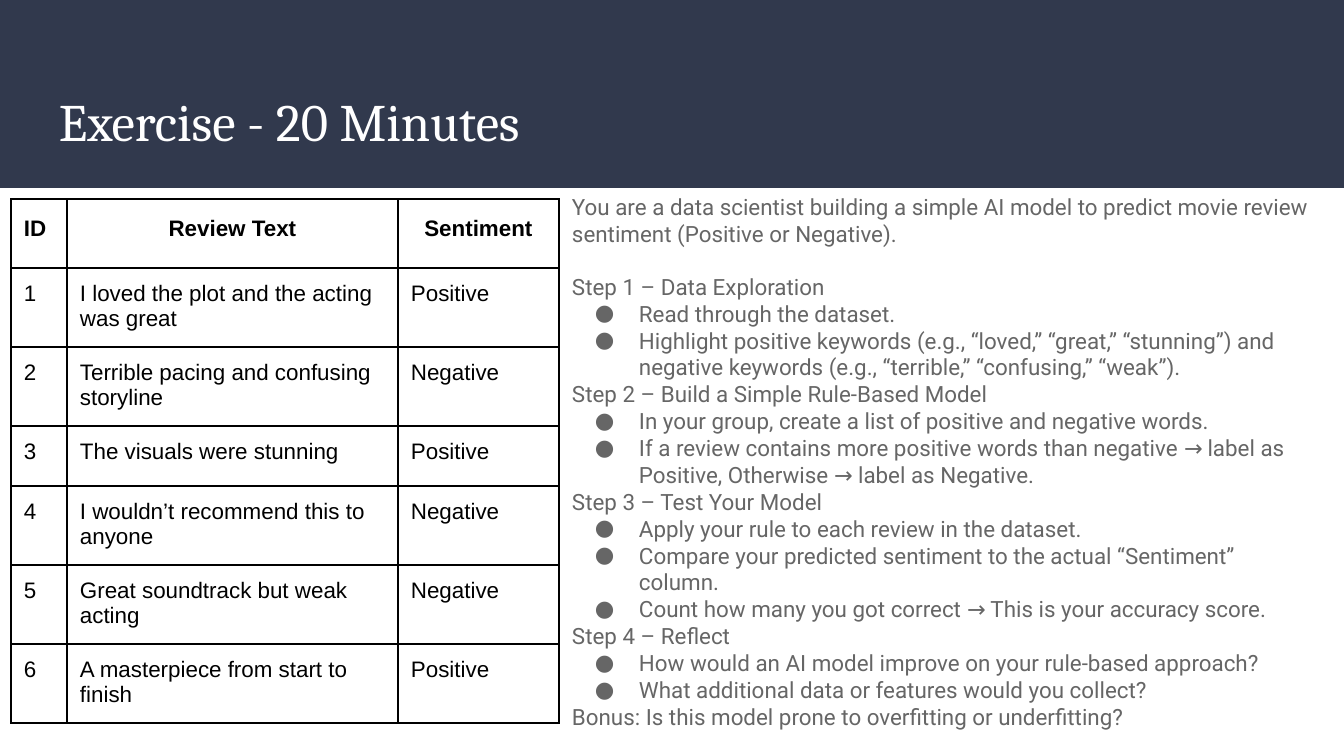
"""Build the movie review sentiment exercise slide."""
from dataclasses import dataclass
from typing import NamedTuple

from lxml.etree import SubElement
from pptx import Presentation
from pptx.dml.color import RGBColor
from pptx.enum.shapes import MSO_SHAPE as Shape
from pptx.enum.text import MSO_ANCHOR as Anchor
from pptx.enum.text import MSO_AUTO_SIZE as AutoSize
from pptx.enum.text import PP_ALIGN as Align
from pptx.oxml.ns import qn
from pptx.util import Emu, Pt

EMU_PER_PX = 914400 / 134.4


def px(length: int) -> Emu:
    return Emu(round(length * EMU_PER_PX))


class Frame(NamedTuple):
    left: int
    top: int
    width: int
    height: int

    def emu(self) -> list[Emu]:
        return [px(length) for length in self]


class TextStyle(NamedTuple):
    font: str
    size: float
    color: str
    bold: bool = False


class Review(NamedTuple):
    number: str
    text: str
    sentiment: str


class Section(NamedTuple):
    heading: str
    bullets: tuple[str, ...] = ()
    space_before: float = 0


@dataclass(frozen=True)
class Theme:
    band: str = "31394D"
    border: str = "000000"
    border_width: float = 0.75
    inset: int = 13
    title: TextStyle = TextStyle("Cambria", 28.2, "FFFFFF")
    body: TextStyle = TextStyle("Roboto", 12, "666666")
    header: TextStyle = TextStyle("Arial", 12, "000000", True)
    cell: TextStyle = TextStyle("Arial", 12, "000000")


THEME = Theme()
PAGE_SIZE = (1344, 756)
BAND = Frame(0, 0, 1344, 188)
TITLE = Frame(46, 74, 1253, 91)
BODY = Frame(559, 180, 775, 574)
TABLE = Frame(11, 199, 548, 524)
COLUMN_WIDTHS = (56, 331, 161)
ROW_HEIGHTS = (69, 79, 79, 60, 79, 79, 79)
BULLET_MARGIN, BULLET_HANG = 67, 44

HEADER = Review("ID", "Review Text", "Sentiment")
REVIEWS = (
    Review("1", "I loved the plot and the acting was great", "Positive"),
    Review("2", "Terrible pacing and confusing storyline", "Negative"),
    Review("3", "The visuals were stunning", "Positive"),
    Review("4", "I wouldn’t recommend this to anyone", "Negative"),
    Review("5", "Great soundtrack but weak acting", "Negative"),
    Review("6", "A masterpiece from start to finish", "Positive"),
)
SECTIONS = (
    Section("You are a data scientist building a simple AI model to predict movie review "
            "sentiment (Positive or Negative)."),
    Section("Step 1 – Data Exploration", (
        "Read through the dataset.",
        "Highlight positive keywords (e.g., “loved,” “great,” “stunning”) and "
        "negative keywords (e.g., “terrible,” “confusing,” “weak”).",
    ), space_before=14),
    Section("Step 2 – Build a Simple Rule-Based Model", (
        "In your group, create a list of positive and negative words.",
        "If a review contains more positive words than negative → label as "
        "Positive, Otherwise → label as Negative.",
    )),
    Section("Step 3 – Test Your Model", (
        "Apply your rule to each review in the dataset.",
        "Compare your predicted sentiment to the actual “Sentiment” column.",
        "Count how many you got correct → This is your accuracy score.",
    )),
    Section("Step 4 – Reflect", (
        "How would an AI model improve on your rule-based approach?",
        "What additional data or features would you collect?",
    )),
    Section("Bonus: Is this model prone to overfitting or underfitting?"),
)


def write(para, text: str, style: TextStyle, align=Align.LEFT) -> None:
    para.text = text
    para.alignment = align
    for span in para.runs:
        span.font.name = style.font
        span.font.size = Pt(style.size)
        span.font.bold = style.bold
        span.font.color.rgb = RGBColor.from_string(style.color)


def set_insets(target) -> None:
    target.margin_left = target.margin_right = px(THEME.inset)
    target.margin_top = target.margin_bottom = px(THEME.inset)


def place(box, frame: Frame, anchor):
    box.left, box.top, box.width, box.height = frame.emu()
    text_frame = box.text_frame
    text_frame.word_wrap = True
    text_frame.auto_size = AutoSize.NONE
    text_frame.vertical_anchor = anchor
    set_insets(text_frame)
    return text_frame


def set_bullet(para, bulleted: bool) -> None:
    properties = para._p.get_or_add_pPr()
    properties.set("marL", str(px(BULLET_MARGIN if bulleted else 0)))
    properties.set("indent", str(px(-BULLET_HANG if bulleted else 0)))
    if bulleted:
        color = SubElement(properties, qn("a:buClr"))
        SubElement(color, qn("a:srgbClr"), val=THEME.body.color)
        SubElement(properties, qn("a:buFont"), typeface=THEME.body.font)
        SubElement(properties, qn("a:buChar"), char="●")
    else:
        SubElement(properties, qn("a:buNone"))


def draw_band(page) -> None:
    band = page.shapes.add_shape(Shape.RECTANGLE, *BAND.emu())
    band.shadow.inherit = False
    band.fill.solid()
    band.fill.fore_color.rgb = RGBColor.from_string(THEME.band)
    band.line.fill.background()
    page.shapes._spTree.insert(2, band._element)


def draw_steps(box) -> None:
    text_frame = place(box, BODY, Anchor.TOP)
    lines = [(text, index > 0, section.space_before if index == 0 else 0)
             for section in SECTIONS
             for index, text in enumerate((section.heading, *section.bullets))]
    for index, (text, bulleted, space_before) in enumerate(lines):
        para = text_frame.add_paragraph() if index else text_frame.paragraphs[0]
        set_bullet(para, bulleted)
        para.space_before = Pt(space_before)
        write(para, text, THEME.body)


def set_borders(cell) -> None:
    properties = cell._tc.get_or_add_tcPr()
    for index, side in enumerate(("a:lnL", "a:lnR", "a:lnT", "a:lnB")):
        line = SubElement(properties, qn(side), w=str(Pt(THEME.border_width)))
        fill = SubElement(line, qn("a:solidFill"))
        SubElement(fill, qn("a:srgbClr"), val=THEME.border)
        properties.insert(index, line)


def draw_reviews(page) -> None:
    rows = (HEADER, *REVIEWS)
    table = page.shapes.add_table(len(rows), len(HEADER), *TABLE.emu()).table
    table.first_row = table.horz_banding = False
    for column, width in zip(table.columns, COLUMN_WIDTHS):
        column.width = px(width)
    for row, height, review in zip(table.rows, ROW_HEIGHTS, rows):
        row.height = px(height)
        is_header = review is HEADER
        for index, (cell, text) in enumerate(zip(row.cells, review)):
            set_insets(cell)
            cell.fill.background()
            set_borders(cell)
            para = cell.text_frame.paragraphs[0]
            write(para, text, THEME.header if is_header else THEME.cell,
                  Align.CENTER if is_header and index else Align.LEFT)
            para.line_spacing = 1.15 if is_header else 1.0


def main() -> None:
    deck = Presentation()
    deck.slide_width, deck.slide_height = map(px, PAGE_SIZE)
    page = deck.slides.add_slide(deck.slide_layouts[1])
    draw_band(page)
    title = place(page.shapes.title, TITLE, Anchor.BOTTOM)
    write(title.paragraphs[0], "Exercise - 20 Minutes", THEME.title)
    draw_reviews(page)
    draw_steps(page.placeholders[1])
    deck.save("out.pptx")


if __name__ == "__main__":
    main()
